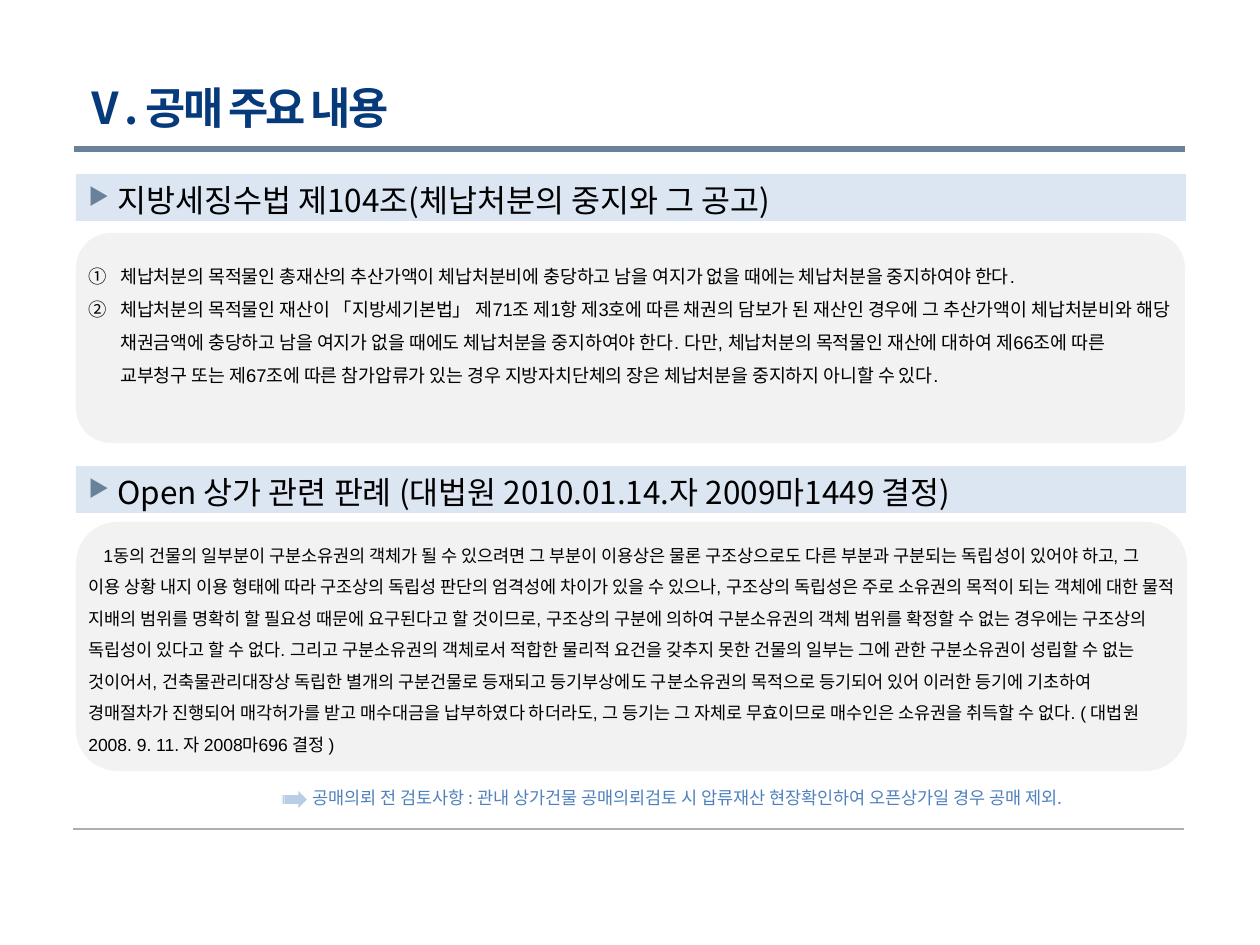
from lxml import etree
from pptx import Presentation
from pptx.dml.color import RGBColor
from pptx.enum.shapes import MSO_CONNECTOR, MSO_SHAPE
from pptx.enum.text import MSO_ANCHOR, MSO_AUTO_SIZE
from pptx.oxml.ns import qn
from pptx.util import Emu, Pt

RECTANGLE = MSO_SHAPE.RECTANGLE
ROUNDED = MSO_SHAPE.ROUNDED_RECTANGLE
ARROW = MSO_SHAPE.STRIPED_RIGHT_ARROW
STRAIGHT = MSO_CONNECTOR.STRAIGHT
TOP, MIDDLE = MSO_ANCHOR.TOP, MSO_ANCHOR.MIDDLE
GROW = MSO_AUTO_SIZE.SHAPE_TO_FIT_TEXT

KOREAN = "Noto Sans CJK KR"
LATIN = "Arial"
COLORS = {
    "title": "063A7A",
    "accent": "698299",
    "rule": "AEADB0",
    "band": "DCE6F2",
    "panel": "F2F2F2",
    "text": "000000",
    "note": "4F81BD",
    "arrow": "B9CDE5",
}

LAW = [
    "체납처분의 목적물인 총재산의 추산가액이 체납처분비에 충당하고 남을 여지가 없을 때에는 "
    "체납처분을 중지하여야 한다.",
    "체납처분의 목적물인 재산이 「지방세기본법」 제71조 제1항 제3호에 따른 채권의 담보가 된 "
    "재산인 경우에 그 추산가액이 체납처분비와 해당 채권금액에 충당하고 남을 여지가 없을 때에도 "
    "체납처분을 중지하여야 한다. 다만, 체납처분의 목적물인 재산에 대하여 제66조에 따른 교부청구 "
    "또는 제67조에 따른 참가압류가 있는 경우 지방자치단체의 장은 체납처분을 중지하지 아니할 수 있다.",
]
RULING = [
    "1동의 건물의 일부분이 구분소유권의 객체가 될 수 있으려면 그 부분이 이용상은 물론 구조상으로도 "
    "다른 부분과 구분되는 독립성이 있어야 하고, 그 이용 상황 내지 이용 형태에 따라 구조상의 독립성 "
    "판단의 엄격성에 차이가 있을 수 있으나, 구조상의 독립성은 주로 소유권의 목적이 되는 객체에 대한 "
    "물적 지배의 범위를 명확히 할 필요성 때문에 요구된다고 할 것이므로, 구조상의 구분에 의하여 "
    "구분소유권의 객체 범위를 확정할 수 없는 경우에는 구조상의 독립성이 있다고 할 수 없다. 그리고 "
    "구분소유권의 객체로서 적합한 물리적 요건을 갖추지 못한 건물의 일부는 그에 관한 구분소유권이 "
    "성립할 수 없는 것이어서, 건축물관리대장상 독립한 별개의 구분건물로 등재되고 등기부상에도 "
    "구분소유권의 목적으로 등기되어 있어 이러한 등기에 기초하여 경매절차가 진행되어 매각허가를 받고 "
    "매수대금을 납부하였다 하더라도, 그 등기는 그 자체로 무효이므로 매수인은 소유권을 취득할 수 없다. "
    "( 대법원 2008. 9. 11. 자 2008마696 결정 )",
]
NOTE = ("공매의뢰 전 검토사항 : 관내 상가건물 공매의뢰검토 시 압류재산 현장확인하여 "
        "오픈상가일 경우 공매 제외.")


def px(value):
    return Emu(round(value * 914400 / 126))


def color(name):
    return RGBColor.from_string(COLORS[name])


class Painter:
    def __init__(self, page):
        self.page = page

    def shape(self, kind, left, top, width, height, fill):
        shape = self.page.shapes.add_shape(kind, px(left), px(top), px(width), px(height))
        shape.shadow.inherit = False
        shape.fill.solid()
        shape.fill.fore_color.rgb = color(fill)
        shape.line.fill.background()

    def rule(self, left, top, width, tint, weight):
        line = self.page.shapes.add_connector(
            STRAIGHT, px(left), px(top), px(left + width), px(top))
        line.line.color.rgb = color(tint)
        line.line.width = Pt(weight)
        etree.SubElement(line._element.spPr, qn("a:effectLst"))

    def text(self, left, top, width, height, lines, size, tint="text", font=KOREAN,
             bold=False, tracking=0, spacing=None, margin=0, indent=0, numbering=None,
             wrap=True, anchor=TOP):
        box = self.page.shapes.add_textbox(px(left), px(top), px(width), px(height))
        frame = box.text_frame
        frame.word_wrap = wrap
        frame.auto_size = GROW
        frame.vertical_anchor = anchor
        for index, line in enumerate(lines):
            para = frame.paragraphs[0] if index == 0 else frame.add_paragraph()
            span = para.add_run()
            span.text = line
            if spacing:
                para.line_spacing = spacing
            properties = para._p.get_or_add_pPr()
            if margin or indent:
                properties.set("marL", str(px(margin)))
                properties.set("indent", str(px(indent)))
            if numbering:
                etree.SubElement(properties, qn("a:buFont"), typeface="+mj-ea")
                etree.SubElement(properties, qn("a:buAutoNum"), type=numbering)
            para.font.size = Pt(size)
            para.font.bold = bold
            para.font.color.rgb = color(tint)
            para.font.name = font
            details = span._r.get_or_add_rPr()
            if tracking:
                details.set("spc", str(round(tracking * 100)))
            etree.SubElement(details, qn("a:ea"), typeface=KOREAN)

    def heading(self, top, title):
        self.shape(RECTANGLE, 76, top, 1110, 47, "band")
        self.text(105, top - 3, 1081, 52, [title], 18, spacing=Pt(24))
        self.text(76, top + 3, 58, 38, ["▶"], 12, "accent", bold=True, tracking=-2)


def main():
    deck = Presentation()
    deck.slide_width, deck.slide_height = px(1260), px(945)
    page = deck.slides.add_slide(deck.slide_layouts[6])
    painter = Painter(page)

    painter.text(71, 74, 345, 66, ["Ⅴ. 공매 주요 내용"], 25, "title", bold=True,
                 tracking=-1.5, wrap=False, anchor=MIDDLE)
    painter.rule(74, 149, 1111, "accent", 3)
    painter.rule(73, 829, 1111, "rule", 1)

    painter.heading(174, "지방세징수법 제104조(체납처분의 중지와 그 공고)")
    painter.shape(ROUNDED, 76, 233, 1109, 210, "panel")
    painter.text(76, 248, 1109, 180, LAW, 10.5, font=LATIN, spacing=1.5,
                 margin=32, indent=-32, numbering="circleNumDbPlain")

    painter.heading(466, "Open 상가 관련 판례 (대법원 2010.01.14.자 2009마1449 결정)")
    painter.shape(ROUNDED, 76, 522, 1111, 249, "panel")
    painter.text(76, 528, 1111, 236, RULING, 10, font=LATIN, spacing=1.5, indent=15)

    painter.text(300, 781, 869, 34, [NOTE], 10, "note")
    painter.shape(ARROW, 282, 791, 25, 17, "arrow")

    deck.save("out.pptx")


if __name__ == "__main__":
    main()
